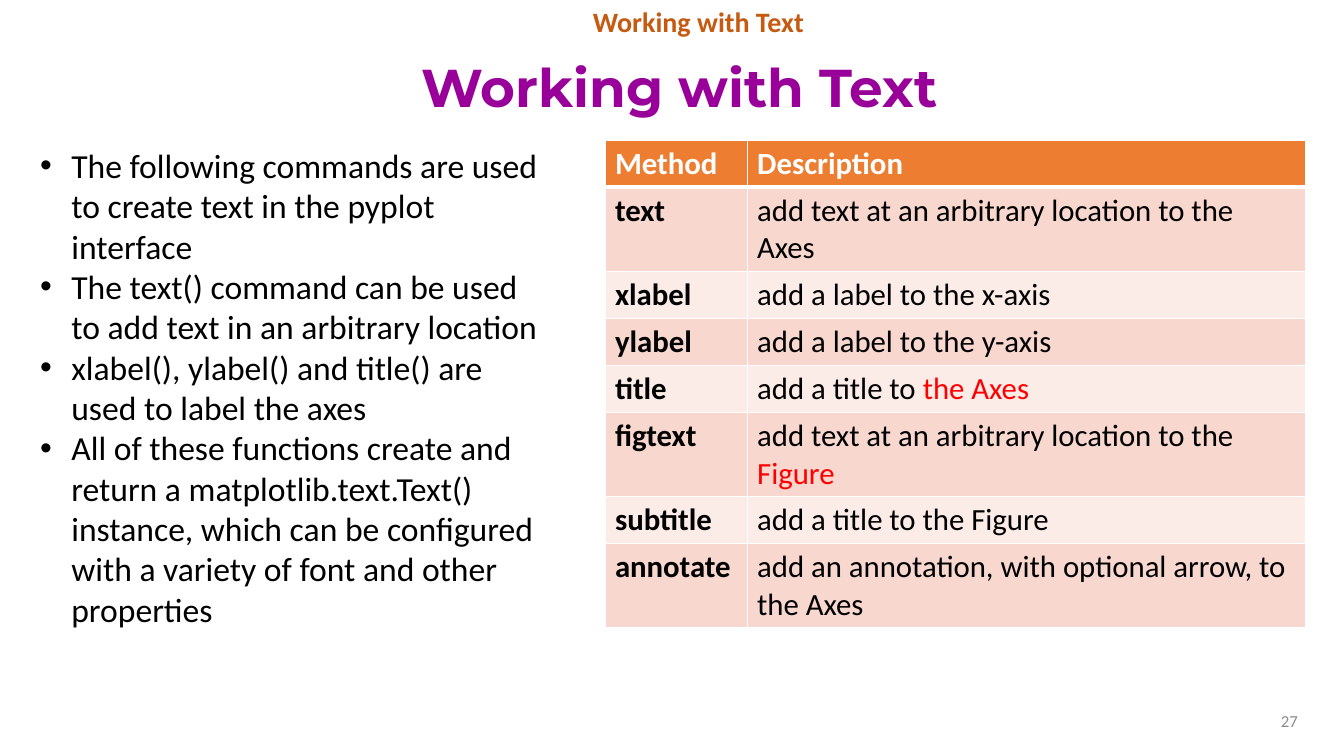
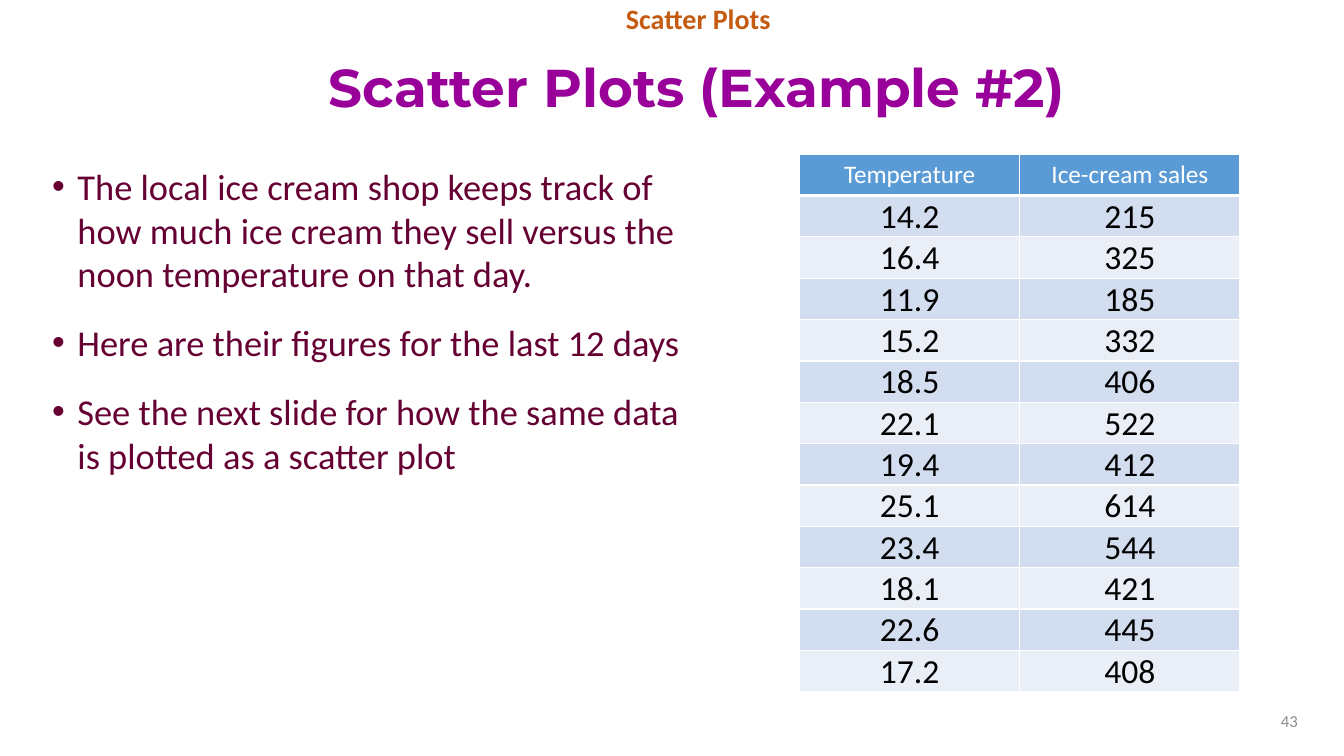
from lxml.etree import SubElement
from pptx import Presentation
from pptx.dml.color import RGBColor
from pptx.enum.text import MSO_ANCHOR, PP_ALIGN
from pptx.oxml.ns import qn
from pptx.util import Inches, Pt

WIDE, HIGH = Inches(13.33), Inches(7.5)
COL, ROW = WIDE / 100, HIGH / 100

WHITE = RGBColor(0xFF, 0xFF, 0xFF)
BLACK = RGBColor(0, 0, 0)
RED = RGBColor(0xFF, 0, 0)
GREY = RGBColor(0x8C, 0x8C, 0x8C)
PURPLE = RGBColor(0x99, 0, 0x99)
RUST = RGBColor(0xC5, 0x5A, 0x11)
WINE = RGBColor(0x66, 0, 0x33)
ORANGE = (RGBColor(0xED, 0x7D, 0x31), RGBColor(0xF8, 0xD7, 0xCE), RGBColor(0xFC, 0xEC, 0xE8))
BLUE = (RGBColor(0x5B, 0x9B, 0xD5), RGBColor(0xD2, 0xDE, 0xEF), RGBColor(0xEA, 0xEF, 0xF7))

RIGHT = 97.15

METHODS = [
    ("Method", "Description"),
    ("text", "add text at an arbitrary location to the Axes"),
    ("xlabel", "add a label to the x-axis"),
    ("ylabel", "add a label to the y-axis"),
    ("title", "add a title to |the Axes"),
    ("figtext", "add text at an arbitrary location to the |Figure"),
    ("subtitle", "add a title to the Figure"),
    ("annotate", "add an annotation, with optional arrow, to the Axes"),
]
SALES = [
    ("Temperature", "Ice-cream sales"),
    ("14.2", "215"), ("16.4", "325"), ("11.9", "185"), ("15.2", "332"),
    ("18.5", "406"), ("22.1", "522"), ("19.4", "412"), ("25.1", "614"),
    ("23.4", "544"), ("18.1", "421"), ("22.6", "445"), ("17.2", "408"),
]
USES = [
    "The following commands are used to create text in the pyplot interface",
    "The text() command can be used to add text in an arbitrary location",
    "xlabel(), ylabel() and title() are used to label the axes",
    "All of these functions create and return a matplotlib.text.Text() instance, "
    "which can be configured with a variety of font and other properties",
]
STORY = [
    "The local ice cream shop keeps track of how much ice cream they sell "
    "versus the noon temperature on that day.",
    "Here are their figures for the last 12 days",
    "See the next slide for how the same data is plotted as a scatter plot",
]


def place(box):
    """Turn a box in grid columns and rows into slide lengths."""
    left, top, cols, rows = box
    return int(left * COL), int(top * ROW), int(cols * COL), int(rows * ROW)


def write(par, text, size, ink, bold=False, face="Calibri", align=PP_ALIGN.LEFT):
    """Fill a paragraph; the part after a bar is red."""
    par.alignment = align
    font = par.font
    font.size, font.bold, font.name = Pt(size), bold, face
    font.color.rgb = ink
    plain, _, marked = text.partition("|")
    par.add_run().text = plain
    if marked:
        run = par.add_run()
        run.text = marked
        run.font.color.rgb = RED


def frame(slide, box, anchor=MSO_ANCHOR.TOP):
    """Add a wrapping text box and return its text frame."""
    body = slide.shapes.add_textbox(*place(box)).text_frame
    body.word_wrap = True
    body.vertical_anchor = anchor
    return body


def header(slide, topic, title, left, lead=1.0):
    """Place the small topic line and the title."""
    par = frame(slide, (19.65, 0, 64.62, 5.47)).paragraphs[0]
    par.space_before, par.line_spacing = Pt(18), lead
    write(par, topic, 20, RUST, True, align=PP_ALIGN.CENTER)
    par = frame(slide, (left, 5.47, RIGHT - left, 12.93), MSO_ANCHOR.MIDDLE).paragraphs[0]
    par.line_spacing = 0.9
    write(par, title, 38, PURPLE, True, "Montserrat", PP_ALIGN.CENTER)


def footer(slide, number):
    """Place the page number."""
    body = frame(slide, (72.77, 92.67, 24.53, 5.33), MSO_ANCHOR.MIDDLE)
    write(body.paragraphs[0], number, 12, GREY, align=PP_ALIGN.RIGHT)


def bullets(slide, box, items, size, ink, indent, gap=0):
    """Place a bulleted list with hanging indents."""
    body = frame(slide, box)
    for rank, item in enumerate(items):
        par = body.add_paragraph() if rank else body.paragraphs[0]
        par.space_before = Pt(gap)
        props = par._p.get_or_add_pPr()
        props.set("marL", str(Inches(indent)))
        props.set("indent", str(-Inches(indent)))
        SubElement(props, qn("a:buFont")).set("typeface", "Arial")
        SubElement(props, qn("a:buChar")).set("char", "•")
        write(par, item, size, ink)


def edge(cell, top, low):
    """Draw white cell borders with the given top and bottom widths."""
    props = cell._tc.get_or_add_tcPr()
    for side, width in zip("LRTB", (1, 1, top, low)):
        line = SubElement(props, qn(f"a:ln{side}"), w=str(Pt(width)))
        fill = SubElement(line, qn("a:solidFill"))
        SubElement(fill, qn("a:srgbClr"), val=str(WHITE))


def grid(slide, box, rows, parts, hues, style):
    """Place a banded table and style each cell by its row and column."""
    table = slide.shapes.add_table(len(rows), len(parts), *place(box)).table
    table.first_row = table.horz_banding = False
    for col, part in zip(table.columns, parts):
        col.width = int(box[2] * COL * part / sum(parts))
    for r, row in enumerate(rows):
        for c, text in enumerate(row):
            cell = table.cell(r, c)
            edge(cell, 3 if r == 1 else 1, 1 if r else 3)
            cell.fill.solid()
            cell.fill.fore_color.rgb = hues[2 - r % 2] if r else hues[0]
            style(cell, text, r, c)


def method(cell, text, r, c):
    """Style a cell with bold heads and names."""
    write(cell.text_frame.paragraphs[0], text, 22, BLACK if r else WHITE, r == 0 or c == 0)


def figure(cell, text, r, c):
    """Style a centred cell with tight margins below the head."""
    if r:
        cell.vertical_anchor = MSO_ANCHOR.BOTTOM
        cell.margin_left = cell.margin_right = cell.margin_top = Inches(0.01)
        cell.margin_bottom = 0
    write(cell.text_frame.paragraphs[0], text, 24 if r else 18,
          BLACK if r else WHITE, align=PP_ALIGN.CENTER)


def words(slide):
    """Build the slide on text commands."""
    header(slide, "Working with Text", "Working with Text", 3.98)
    grid(slide, (45.01, 18.53, 52.14, 49.6), METHODS, (14, 55), ORANGE, method)
    bullets(slide, (2.25, 18.53, 39.53, 66), USES, 24, BLACK, 0.31)
    footer(slide, "27")


def scatter(slide):
    """Build the slide on ice cream sales."""
    header(slide, "Scatter Plots", "Scatter Plots (Example #2)", 6.53, 0.9)
    bullets(slide, (3.15, 21.07, 49.89, 69.07), STORY, 26, WINE, 0.25, 18)
    grid(slide, (59.49, 20.4, 32.78, 71.07), SALES, (1, 1), BLUE, figure)
    footer(slide, "43")


def main():
    """Build and save the deck."""
    deck = Presentation()
    deck.slide_width, deck.slide_height = WIDE, HIGH
    for build in (words, scatter):
        build(deck.slides.add_slide(deck.slide_layouts[6]))
    deck.save("out.pptx")


if __name__ == "__main__":
    main()
